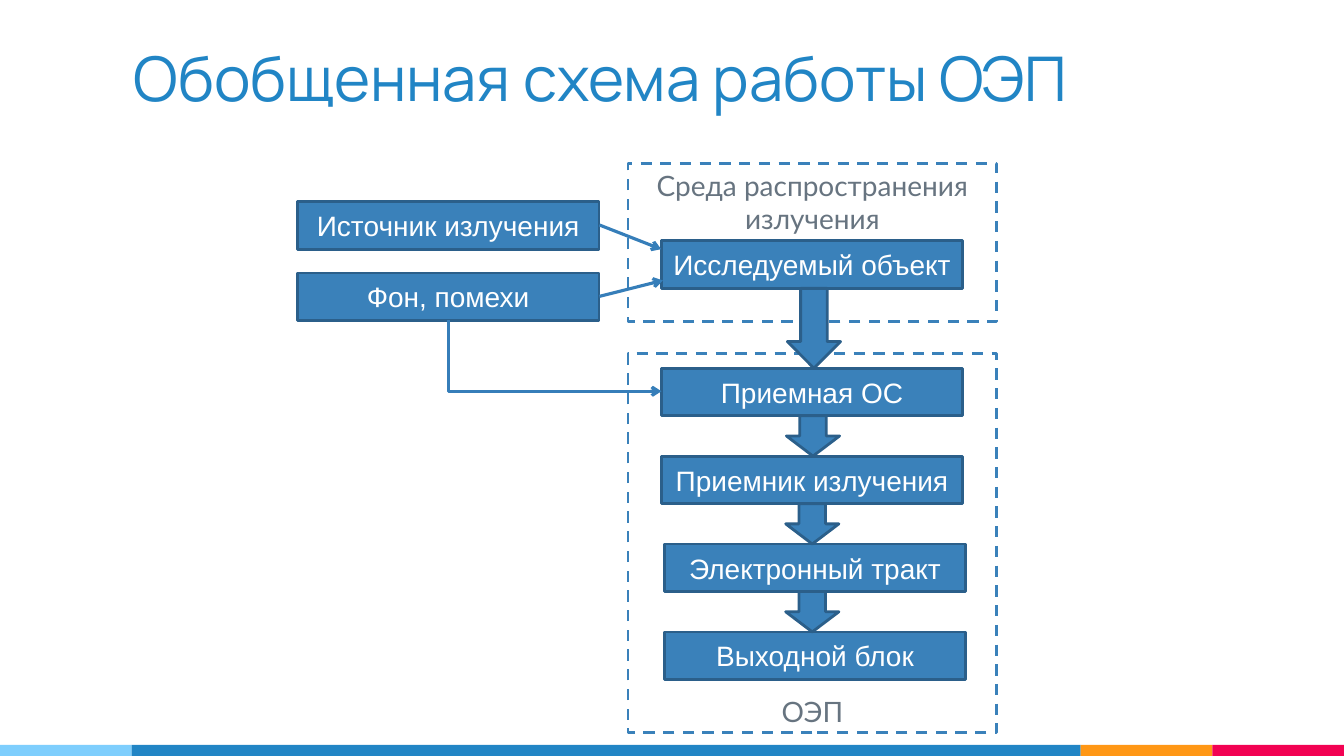
import pptx
import pptx.util
import pptx.dml.color
import pptx.enum.dml
import pptx.enum.shapes
import pptx.enum.text
import pptx.oxml.ns
import lxml.etree

Pt = pptx.util.Pt
kinds = pptx.enum.shapes.MSO_SHAPE
links = pptx.enum.shapes.MSO_CONNECTOR
anchors = pptx.enum.text.MSO_ANCHOR
aligns = pptx.enum.text.PP_ALIGN
qn = pptx.oxml.ns.qn

hues = {
    "sky": "7ECEFD", "blue": "2185C5", "orange": "FF9715", "red": "F20253",
    "box": "3A81BA", "edge": "2B5F8A", "link": "367EB9",
    "gray": "677480", "white": "FFFFFF",
}


def color(name):
    return pptx.dml.color.RGBColor.from_string(hues[name])


def draw(kind, place, fill, edge=None):
    shape = slide.shapes.add_shape(kind, *map(Pt, place))
    shape.shadow.inherit = False
    shape.fill.solid()
    shape.fill.fore_color.rgb = color(fill)
    if edge:
        shape.line.color.rgb = color(edge)
        shape.line.width = Pt(2)
    else:
        shape.line.fill.background()
    return shape


deck = pptx.Presentation()
deck.slide_width, deck.slide_height = Pt(960), Pt(540)
slide = deck.slides.add_slide(deck.slide_layouts[6])
texts = []  # shape, words, format, hue, anchor, alignment

# Footer stripe
left = 0
for width, hue in [(94, "sky"), (678, "blue"), (94, "orange"), (94, "red")]:
    draw(kinds.RECTANGLE, (left, 532, width, 8), hue)
    left += width

# Dashed frames
label = {"name": "Lato", "size": Pt(20)}
for words, top, high, anchor in [
    ("ОЭП", 252.7, 270.7, anchors.BOTTOM),
    ("Среда распространения излучения", 116.6, 113, anchors.TOP),
]:
    frame = draw(kinds.RECTANGLE, (448.6, top, 263.4, high), "white", "box")
    frame.line.dash_style = pptx.enum.dml.MSO_LINE.DASH
    texts.append((frame, words, label, "gray", anchor, aligns.CENTER))

# Blocks: the receiver chain goes down in equal steps
wide, tall, step, first = 215.5, 34, 62.8, 263
blocks = [
    ("Источник излучения", 212.4, 144),
    ("Фон, помехи", 212.4, 195),
    ("Исследуемый объект", 472.3, 172),
]
chain = [("Приемная ОС", 472.3), ("Приемник излучения", 472.3),
         ("Электронный тракт", 474.5), ("Выходной блок", 474.5)]
blocks += [(words, x, first + i * step) for i, (words, x) in enumerate(chain)]
plain = {"name": "Arial", "size": Pt(20)}
for words, x, y in blocks:
    block = draw(kinds.RECTANGLE, (x, y, wide, tall), "box", "edge")
    texts.append((block, words, plain, "white", anchors.MIDDLE, aligns.CENTER))

# Thin arrows; the elbow is a turned and mirrored one-bend connector
source = draw_from = 428.2
for kind, ends in [
    (links.STRAIGHT, (source, 160.7, 472.3, 178)),
    (links.STRAIGHT, (source, 211.7, 473.5, 200.3)),
    (links.ELBOW, (422, 178, 371, 330)),
]:
    link = slide.shapes.add_connector(kind, *map(Pt, ends))
    link.line.color.rgb = color("link")
    link.line.width = Pt(2.25)
    props = link._element.spPr
    lxml.etree.SubElement(props.find(qn("a:ln")), qn("a:tailEnd"), type="arrow")
    lxml.etree.SubElement(props, qn("a:effectLst"))
    if kind == links.ELBOW:
        props.find(qn("a:prstGeom")).set("prst", "bentConnector2")
        props.find(qn("a:xfrm")).set("rot", "16200000")

# Block arrows fill the gaps between blocks
gaps = [(581.4, 206, first - 206)]
gaps += [(mid, first + i * step + tall, step - tall)
         for i, mid in enumerate([580.7, 580.2, 580.2])]
for mid, top, high in gaps:
    draw(kinds.DOWN_ARROW, (mid - 19, top, 38, high), "box", "edge")

# Title
title = slide.shapes.add_textbox(Pt(88.6), Pt(21.6), Pt(782.6), Pt(90))
for side in ("left", "top", "right", "bottom"):
    setattr(title.text_frame, "margin_" + side, Pt(7.2))
head = {"name": "Manrope", "size": Pt(44)}
texts.append((title, "Обобщенная схема работы ОЭП", head, "blue",
              anchors.TOP, aligns.LEFT))

# Text and its format
for shape, words, style, hue, anchor, align in texts:
    body = shape.text_frame
    body.word_wrap = True
    body.vertical_anchor = anchor
    para = body.paragraphs[0]
    para.alignment = align
    run = para.add_run()
    run.text = words
    run.font.color.rgb = color(hue)
    for key, value in style.items():
        setattr(run.font, key, value)

deck.save("out.pptx")
